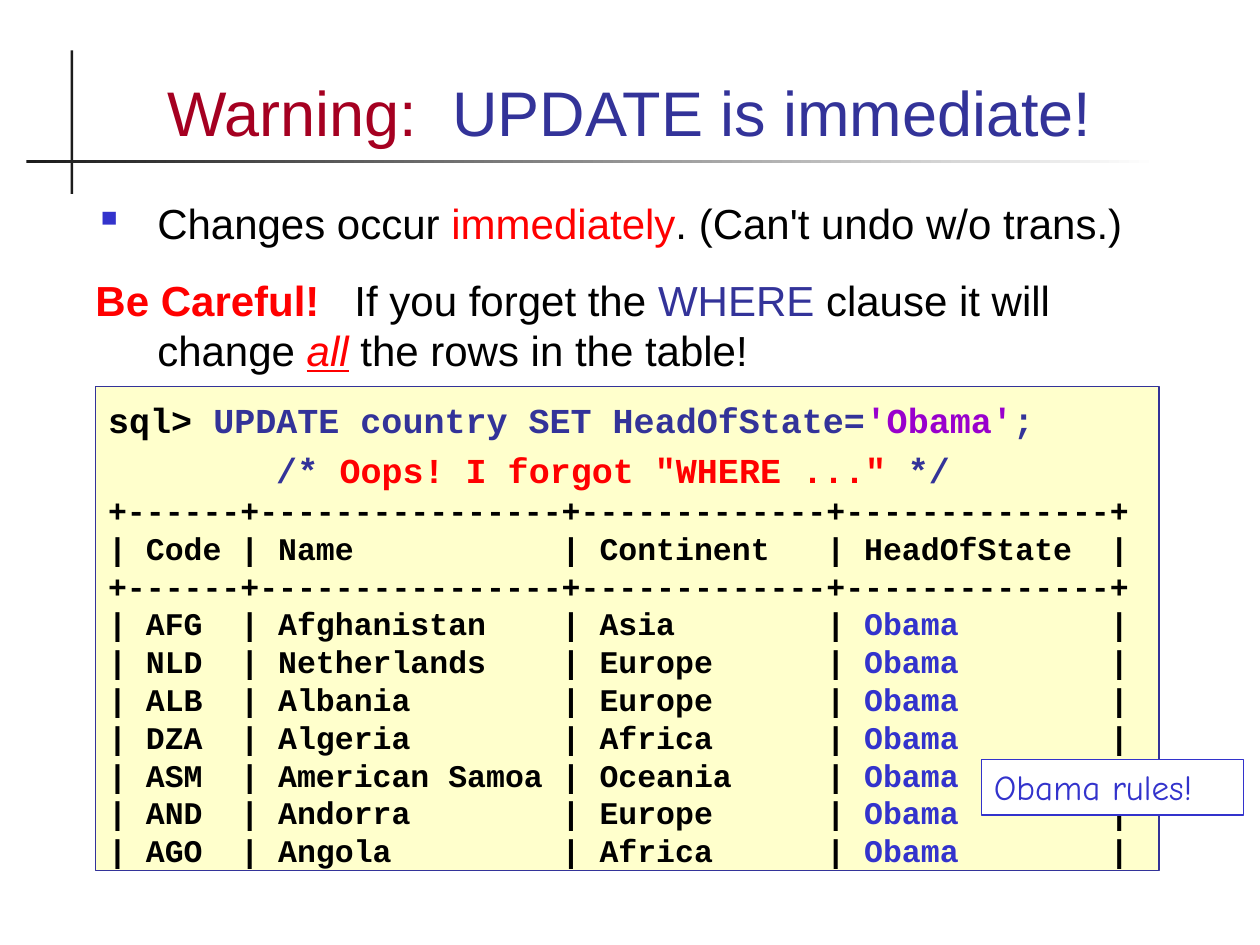
from dataclasses import dataclass

from lxml import etree
from pptx import Presentation
from pptx.dml.color import RGBColor as RGB
from pptx.enum.shapes import MSO_SHAPE as SHAPE
from pptx.enum.text import MSO_ANCHOR as ANCHOR, PP_ALIGN as ALIGN
from pptx.oxml.ns import qn
from pptx.util import Inches, Pt


@dataclass(frozen=True)
class Theme:
    black: str = "000000"
    rule: str = "1C1C1C"
    white: str = "FFFFFF"
    cream: str = "FFFFCC"
    crimson: str = "A50021"
    red: str = "FF0000"
    navy: str = "333399"
    blue: str = "3333CC"
    purple: str = "9900CC"
    sans: str = "Arial"
    mono: str = "Courier New"
    comic: str = "Comic Neue"
    title_size: int = 36
    body_size: int = 24
    command_size: int = 20
    table_size: int = 18
    line_factor: float = 1.2


theme = Theme()


def write(paragraph, runs, face, size, bold=None):
    paragraph.font.name = face
    paragraph.font.size = Pt(size)
    paragraph.font.bold = bold
    paragraph.line_spacing = Pt(size * theme.line_factor)
    for text, color in runs:
        run = paragraph.add_run()
        run.text = text
        run.font.color.rgb = RGB.from_string(color)


def add_box(left, top, width, height, fill, line=None):
    box = slide.shapes.add_shape(
        SHAPE.RECTANGLE, Inches(left), Inches(top), Inches(width), Inches(height)
    )
    box.shadow.inherit = False
    box.fill.solid()
    box.fill.fore_color.rgb = RGB.from_string(fill)
    if line:
        box.line.color.rgb = RGB.from_string(line)
        box.line.width = Pt(0.75)
    else:
        box.line.fill.background()
    box.text_frame.word_wrap = True
    box.text_frame.vertical_anchor = ANCHOR.TOP
    box.text_frame.paragraphs[0].alignment = ALIGN.LEFT
    return box


deck = Presentation()
deck.slide_width, deck.slide_height = Inches(10), Inches(7.5)
slide = deck.slides.add_slide(deck.slide_layouts[6])

add_box(0.56, 0.4, 0.02, 1.14, theme.rule)
fading_rule = add_box(0.21, 1.27, 8.99, 0.02, theme.rule)
fading_rule.fill.gradient()
fading_rule.fill.gradient_angle = 0
for stop, color in zip(fading_rule.fill.gradient_stops, (theme.rule, theme.white)):
    stop.color.rgb = RGB.from_string(color)

title = slide.shapes.add_textbox(
    Inches(0.67), Inches(0.28), Inches(8.66), Inches(0.95)
).text_frame
title.word_wrap = True
title.vertical_anchor = ANCHOR.BOTTOM
heading = title.paragraphs[0]
heading.alignment = ALIGN.CENTER
write(
    heading,
    [("Warning:", theme.crimson), ("  UPDATE is immediate!", theme.navy)],
    theme.sans,
    theme.title_size,
)
heading.line_spacing = 1.0

advice = slide.shapes.add_textbox(
    Inches(0.65), Inches(1.52), Inches(8.66), Inches(1.6)
).text_frame
advice.word_wrap = True
changes, careful = advice.paragraphs[0], advice.add_paragraph()
for point in (changes, careful):
    hanging = point._p.get_or_add_pPr()
    hanging.set("marL", str(Inches(0.5)))
    hanging.set("indent", str(-Inches(0.49)))

bullet = changes._p.get_or_add_pPr()
bullet.set("indent", str(-Inches(0.5)))
bullet_color = etree.SubElement(bullet, qn("a:buClr"))
etree.SubElement(bullet_color, qn("a:srgbClr"), val=theme.blue)
etree.SubElement(bullet, qn("a:buSzPct"), val="95000")
etree.SubElement(bullet, qn("a:buChar"), char="▪")
write(
    changes,
    [
        ("Changes occur ", theme.black),
        ("immediately", theme.red),
        (". (Can't undo w/o trans.)", theme.black),
    ],
    theme.sans,
    theme.body_size,
)
write(
    careful,
    [
        ("Be Careful!", theme.red),
        ("   If you forget the ", theme.black),
        ("WHERE", theme.navy),
        (" clause it will change ", theme.black),
        ("all", theme.red),
        (" the rows in the table!", theme.black),
    ],
    theme.sans,
    theme.body_size,
)
careful.space_before = Pt(15)
careful.runs[0].font.bold = True
careful.runs[4].font.italic = True
careful.runs[4].font.underline = True

session = add_box(0.76, 3.07, 8.44, 3.84, theme.cream, theme.navy).text_frame
session.margin_top = Inches(0.09)
write(
    session.paragraphs[0],
    [
        ("sql> ", theme.black),
        ("UPDATE country SET HeadOfState=", theme.navy),
        ("'Obama'", theme.purple),
        (";", theme.navy),
    ],
    theme.mono,
    theme.command_size,
    True,
)
comment = session.add_paragraph()
comment.alignment = ALIGN.LEFT
comment.space_before = Pt(5)
write(
    comment,
    [
        ("        /* ", theme.navy),
        ('Oops! I forgot "WHERE ..." ', theme.red),
        ("*/", theme.navy),
    ],
    theme.mono,
    theme.command_size,
    True,
)

countries = [
    ("AFG", "Afghanistan", "Asia"),
    ("NLD", "Netherlands", "Europe"),
    ("ALB", "Albania", "Europe"),
    ("DZA", "Algeria", "Africa"),
    ("ASM", "American Samoa", "Oceania"),
    ("AND", "Andorra", "Europe"),
    ("AGO", "Angola", "Africa"),
]
border = "+" + "+".join("-" * width for width in (6, 16, 13, 14)) + "+"
header = "| Code | Name           | Continent   | HeadOfState  |"
result_rows = [[(line, theme.black)] for line in (border, header, border)]
for code, name, continent in countries:
    result_rows.append(
        [
            (f"| {code:<4} | {name:<14} | {continent:<11} | ", theme.black),
            ("Obama", theme.blue),
            ("        |", theme.black),
        ]
    )
for runs in result_rows:
    row = session.add_paragraph()
    row.alignment = ALIGN.LEFT
    write(row, runs, theme.mono, theme.table_size, True)

remark = add_box(7.79, 6.03, 2.08, 0.44, theme.white, theme.blue).text_frame
write(
    remark.paragraphs[0],
    [("Obama rules!", theme.blue)],
    theme.comic,
    theme.command_size,
)

deck.save("out.pptx")
